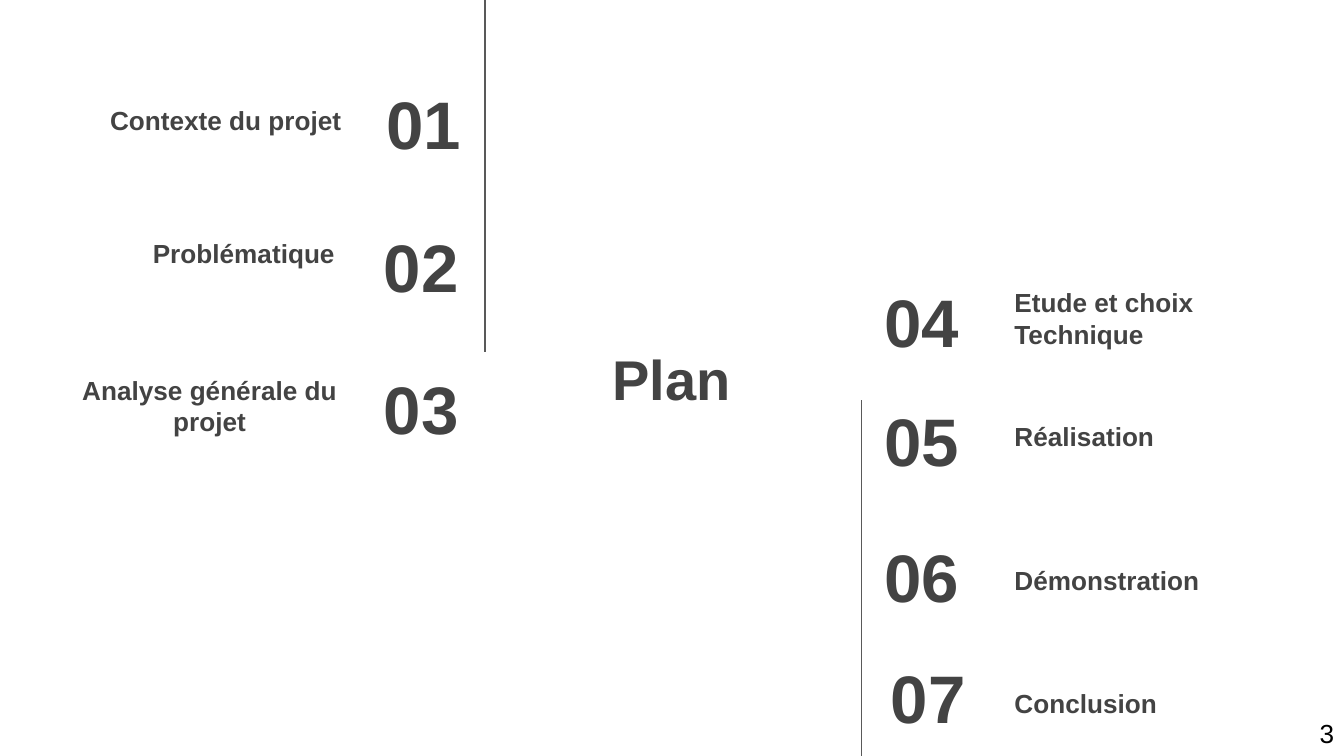
from dataclasses import dataclass

import pptx
import pptx.dml.color
import pptx.enum.shapes
import pptx.enum.text
import pptx.oxml.ns
import pptx.slide
import pptx.util
from lxml import etree

Inches = pptx.util.Inches
Align = pptx.enum.text.PP_ALIGN
Anchor = pptx.enum.text.MSO_ANCHOR

DARK = pptx.dml.color.RGBColor(0x43, 0x43, 0x43)
GREY = pptx.dml.color.RGBColor(0x59, 0x59, 0x59)
BLACK = pptx.dml.color.RGBColor(0, 0, 0)
WIDTH = 10
HEIGHT = WIDTH * 9 / 16
ROW = 0.63


@dataclass
class Entry:
    label: str
    spot: tuple[float, float]
    place: tuple[float, float]
    align: Align = Align.LEFT
    side: Align = Align.LEFT
    wide: float = 1.17


@dataclass
class Rule:
    left: float
    top: float
    end: float


ENTRIES = [
    Entry("Contexte du projet", (2.32, 0.6), (0.48, 0.48), Align.RIGHT, Align.RIGHT, 1.21),
    Entry("Problématique", (2.3, 1.66), (0.43, 1.47), Align.RIGHT, Align.RIGHT, 1.21),
    Entry("Analyse générale du projet", (2.3, 2.72), (0.48, 2.72), Align.CENTER, Align.RIGHT, 1.21),
    Entry("Etude et choix Technique", (6.48, 2.07), (7.45, 2.07)),
    Entry("Réalisation", (6.48, 2.96), (7.45, 2.83)),
    Entry("Démonstration", (6.48, 3.97), (7.45, 3.9)),
    Entry("Conclusion", (6.53, 4.87), (7.45, 4.82)),
]
RULES = [Rule(3.61, 0, 2.62), Rule(6.41, 2.98, HEIGHT)]


def write(slide: pptx.slide.Slide, text: str, *, spot: tuple[float, float],
          wide: float, high: float = ROW, size: float = 14, bold: bool = True,
          color: pptx.dml.color.RGBColor = DARK, align: Align = Align.LEFT,
          anchor: Anchor = Anchor.MIDDLE, inset: float = 0.1) -> None:
    box = slide.shapes.add_textbox(*map(Inches, (*spot, wide, high)))
    frame = box.text_frame
    frame.word_wrap = True
    frame.vertical_anchor = anchor
    frame.margin_left = frame.margin_right = Inches(0.1)
    frame.margin_top = frame.margin_bottom = Inches(inset)
    para = frame.paragraphs[0]
    para.alignment = align
    run = para.add_run()
    run.text = text
    run.font.name = "Arial"
    run.font.size = pptx.util.Pt(size)
    run.font.bold = bold
    run.font.color.rgb = color


def draw_rule(slide: pptx.slide.Slide, rule: Rule) -> None:
    line = slide.shapes.add_connector(
        pptx.enum.shapes.MSO_CONNECTOR.STRAIGHT,
        *map(Inches, (rule.left, rule.top, rule.left, rule.end)))
    line.line.color.rgb = GREY
    line.line.width = pptx.util.Pt(0.75)
    etree.SubElement(line._element.spPr, pptx.oxml.ns.qn("a:effectLst"))


def draw_entry(slide: pptx.slide.Slide, index: int, entry: Entry) -> None:
    write(slide, f"{index:02}", spot=entry.spot, wide=entry.wide,
          size=36, align=entry.side)
    write(slide, entry.label, spot=entry.place, wide=2.16,
          align=entry.align, anchor=Anchor.BOTTOM)


def main() -> None:
    """Build the plan slide with its seven numbered parts."""
    deck = pptx.Presentation()
    deck.slide_width, deck.slide_height = Inches(WIDTH), Inches(HEIGHT)
    slide = deck.slides.add_slide(deck.slide_layouts[6])
    write(slide, "Plan", spot=(3.7, 2.3), wide=2.59, high=1.03,
          size=30, align=Align.CENTER)
    for rule in RULES:
        draw_rule(slide, rule)
    for index, entry in enumerate(ENTRIES, 1):
        draw_entry(slide, index, entry)
    write(slide, "3", spot=(9.72, 5.29), wide=0.28, high=0.33, bold=False,
          color=BLACK, anchor=Anchor.TOP, inset=0.05)
    deck.save("out.pptx")


if __name__ == "__main__":
    main()
